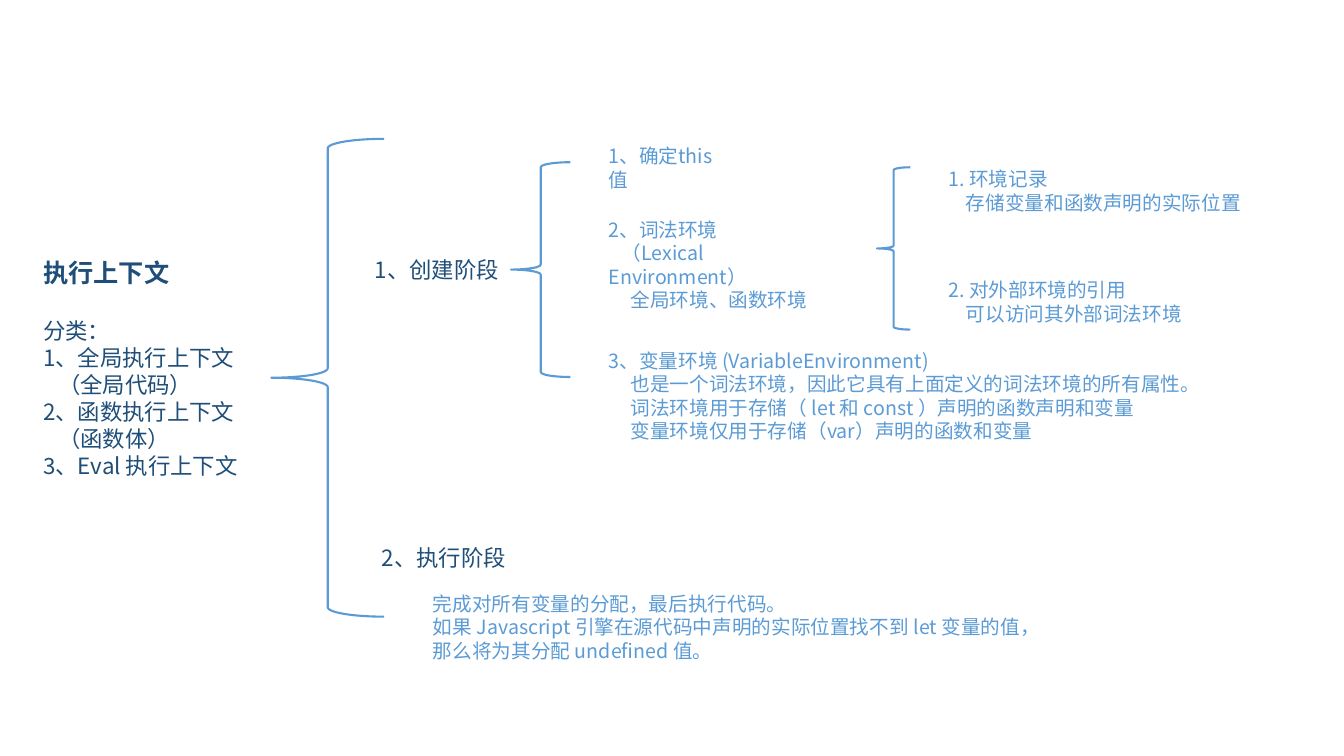
from pptx import Presentation
from pptx.dml.color import RGBColor
from pptx.enum.shapes import MSO_SHAPE as Preset
from pptx.enum.text import MSO_AUTO_SIZE as AutoSize
from pptx.oxml.ns import qn
from pptx.util import Pt
from lxml.etree import SubElement

FONT = "Noto Sans CJK SC"
NAVY, BLUE = "1F4E79", "5B9BD5"


def color(hex_string):
    return RGBColor.from_string(hex_string)


def add_line(paragraph, text, size, hex_string, bold=False, indent=0):
    """Fill one paragraph; indent moves its first line only."""
    if indent:
        paragraph._p.get_or_add_pPr().set("indent", str(Pt(indent)))
    run = paragraph.add_run()
    run.text = text
    font = run.font
    font.name, font.size, font.bold = FONT, Pt(size), bold
    font.color.rgb = color(hex_string)
    SubElement(font._element, qn("a:ea")).set("typeface", FONT)


def add_text(slide, left, top, width, height, lines, size, hex_string):
    """Each line is (text, first-line indent)."""
    box = slide.shapes.add_textbox(Pt(left), Pt(top), Pt(width), Pt(height))
    frame = box.text_frame
    frame.word_wrap = True
    frame.auto_size = AutoSize.SHAPE_TO_FIT_TEXT
    for number, (text, indent) in enumerate(lines):
        paragraph = frame.add_paragraph() if number else frame.paragraphs[0]
        add_line(paragraph, text, size, hex_string, indent=indent)
    return frame


def add_brace(slide, left, top, width, height):
    shape = slide.shapes.add_shape(
        Preset.LEFT_BRACE, Pt(left), Pt(top), Pt(width), Pt(height))
    shape.shadow.inherit = False
    shape.fill.background()
    shape.line.color.rgb = color(BLUE)
    shape.line.width = Pt(1.5)


def add_topic(slide, left, top):
    """Root of the tree: heading, its kinds and the main brace."""
    kinds = [("执行上下文", 0), ("分类：", 0),
             ("1、全局执行上下文", 0), ("（全局代码）", 10.75),
             ("2、函数执行上下文", 0), ("（函数体）", 10.75),
             ("3、Eval 执行上下文", 0)]
    frame = add_text(slide, left, top, 157.7, 188.6, kinds, 16, NAVY)
    heading, subtitle = frame.paragraphs[:2]
    heading.runs[0].font.size = Pt(18)
    heading.runs[0].font.bold = True
    subtitle.space_before = Pt(21.6)
    add_brace(slide, left + 170, top - 80.8, 80.6, 341.3)


def add_creation_stage(slide, left, top):
    """First branch: stage name, brace and three steps."""
    add_text(slide, left, top, 104.4, 26.6, [("1、创建阶段", 0)], 16, NAVY)
    add_brace(slide, left + 104.4, top - 63.4, 42.5, 153.4)
    steps = [
        (-80, 102.2, 24.5, [("1、确定this值", 0)]),
        (-27.4, 165.6, 58.3, [("2、词法环境", 0),
                              ("（Lexical Environment）", 9.4),
                              ("全局环境、函数环境", 15.7)]),
        (66.2, 442.8, 74.9, [
            ("3、变量环境 (VariableEnvironment)", 0),
            ("也是一个词法环境，因此它具有上面定义的词法环境的所有属性。", 15.7),
            ("词法环境用于存储（ let 和 const ）声明的函数声明和变量", 15.7),
            ("变量环境仅用于存储（var）声明的函数和变量", 15.7)]),
    ]
    for offset, width, height, lines in steps:
        add_text(slide, left + 167, top + offset, width, height, lines, 14, BLUE)


def add_lexical_parts(slide, left, top):
    """The two parts of the lexical environment."""
    add_brace(slide, left, top, 23.8, 115.9)
    parts = [("1. 环境记录", "存储变量和函数声明的实际位置"),
             ("2. 对外部环境的引用", "可以访问其外部词法环境")]
    for number, (name, detail) in enumerate(parts):
        add_text(slide, left + 43.9, top - 3.6 + number * 79.2, 234, 41,
                 [(name, 0), (detail, 12.5)], 14, BLUE)


def add_execution_stage(slide, left, top):
    """Second branch: stage name and explanation."""
    add_text(slide, left, top, 104.4, 26.6, [("2、执行阶段", 0)], 16, NAVY)
    lines = ["完成对所有变量的分配，最后执行代码。",
             "如果 Javascript 引擎在源代码中声明的实际位置找不到 let 变量的值，",
             "那么将为其分配 undefined 值。"]
    add_text(slide, left + 36.5, top + 33.8, 466.6, 58.3,
             [(line, 0) for line in lines], 14, BLUE)


def main():
    presentation = Presentation()
    presentation.slide_width, presentation.slide_height = Pt(960), Pt(540)
    slide = presentation.slides.add_slide(presentation.slide_layouts[6])
    add_topic(slide, 23.8, 180)
    add_creation_stage(slide, 260.6, 179.3)
    add_lexical_parts(slide, 626.4, 119.5)
    add_execution_stage(slide, 265.7, 385.2)
    presentation.save("out.pptx")


if __name__ == "__main__":
    main()
